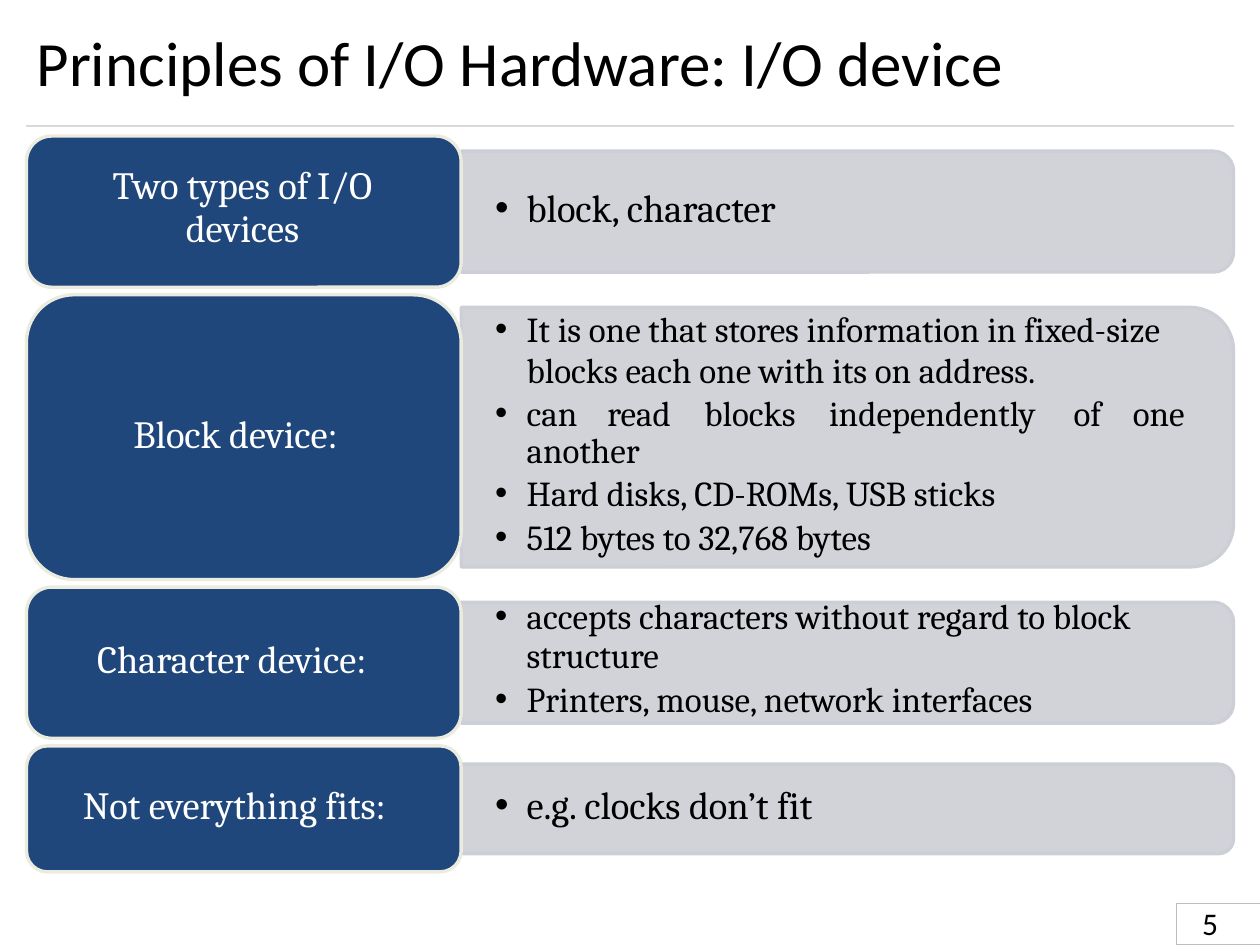
from lxml.etree import SubElement
from pptx import Presentation
from pptx.dml.color import RGBColor
from pptx.enum.shapes import MSO_CONNECTOR, MSO_SHAPE
from pptx.enum.text import MSO_ANCHOR, PP_ALIGN
from pptx.oxml.ns import qn
from pptx.util import Inches, Pt

TITLE = "Principles of I/O Hardware: I/O device"
PAGE_NUMBER = "5"

# Bullets: (text, space before in points, line spacing in points or None)
ROWS = [
    dict(label="Two types of I/O\vdevices", label_height=1.2, panel_height=0.96,
         label_inset=0.02, list_top=1.45, size=22,
         bullets=[("block, character", 0.9, None)]),
    dict(label="Block device:", label_height=2.26, panel_height=2.06,
         label_inset=0.13, list_top=2.44, size=20,
         bullets=[("It is one that stores information in fixed-size blocks "
                   "each one with its on address.", 1.1, 23.4),
                  ("can\tread\tblocks\tindependently\tof\tone\vanother", 3.6, 21),
                  ("Hard disks, CD-ROMs, USB sticks", 0.8, None),
                  ("512 bytes to 32,768 bytes", 1.1, None)]),
    dict(label="Character device:", label_height=1.2, panel_height=0.96,
         label_inset=0.19, list_top=4.73, size=20,
         bullets=[("accepts characters without regard to block structure", 1, 22.5),
                  ("Printers, mouse, network interfaces", 1, None)]),
    dict(label="Not everything fits:", label_height=1.0, panel_height=0.71,
         label_inset=0.15, list_top=6.19, size=22,
         bullets=[("e.g. clocks don’t fit", 0.9, None)]),
]
WORD_STOPS = [0.26, 0.9, 1.67, 2.66, 4.6, 5.07]

THEME = dict(
    heading_font="Calibri", body_font="Cambria",
    title_size=36, label_size=22, number_size=18,
    text="000000", label_text="FFFFFF", label_fill="1F477B", label_line="ECEBDF",
    panel="CCCFD5", rule="D9D9D9", number_line="BDBDBD",
    box_line=1.92, thin_line=0.72,
)

LEFT, TOP, ROW_GAP = 0.21, 1.08, 0.06
LABEL_WIDTH, PANEL_WIDTH = 3.45, 6.13
PANEL_LEFT = LEFT + LABEL_WIDTH
LIST_LEFT, LIST_WIDTH = 3.92, 5.55


def color(name):
    return RGBColor.from_string(THEME[name])


def style_paragraph(paragraph, font, size, text_color):
    for run in paragraph.runs:
        run.font.name = THEME[font]
        run.font.size = Pt(size)
        run.font.color.rgb = color(text_color)


def set_insets(frame, left=0, top=0, right=0, bottom=0):
    frame.margin_left, frame.margin_top = Inches(left), Inches(top)
    frame.margin_right, frame.margin_bottom = Inches(right), Inches(bottom)
    frame.word_wrap = True


def add_box(slide, kind, left, top, width, height, line, weight, fill=None):
    box = slide.shapes.add_shape(
        kind, Inches(left), Inches(top), Inches(width), Inches(height))
    box.shadow.inherit = False
    if fill:
        box.fill.solid()
        box.fill.fore_color.rgb = color(fill)
    else:
        box.fill.background()
    box.line.color.rgb = color(line)
    box.line.width = Pt(THEME[weight])
    return box


def add_panel(slide, center, height):
    """Panel rounded on its right side: a top-rounded shape turned a quarter."""
    panel = add_box(slide, MSO_SHAPE.ROUND_2_SAME_RECTANGLE,
                    PANEL_LEFT + (PANEL_WIDTH - height) / 2, center - PANEL_WIDTH / 2,
                    height, PANEL_WIDTH, "panel", "box_line", "panel")
    panel.rotation = 90
    fill_color = panel.fill._xPr.find(qn("a:solidFill"))[0]
    SubElement(fill_color, qn("a:alpha"), val="90000")


def add_label(slide, row, top):
    label = add_box(slide, MSO_SHAPE.ROUNDED_RECTANGLE, LEFT, top, LABEL_WIDTH,
                    row["label_height"], "label_line", "box_line", "label_fill")
    frame = label.text_frame
    set_insets(frame, right=row["label_inset"], bottom=0.07)
    frame.vertical_anchor = MSO_ANCHOR.MIDDLE
    paragraph = frame.paragraphs[0]
    paragraph.text = row["label"]
    paragraph.alignment = PP_ALIGN.CENTER
    if "\v" in row["label"]:
        paragraph.line_spacing = Pt(24.8)
    style_paragraph(paragraph, "body_font", THEME["label_size"], "label_text")


def make_bullet(paragraph, stops):
    properties = paragraph._p.get_or_add_pPr()
    properties.set("marL", str(Inches(0.26)))
    properties.set("indent", str(Inches(-0.25)))
    SubElement(properties, qn("a:buFont"), typeface="Arial")
    SubElement(properties, qn("a:buChar"), char="•")
    tab_list = SubElement(properties, qn("a:tabLst"))
    for stop in stops:
        SubElement(tab_list, qn("a:tab"), pos=str(Inches(stop)), algn="l")


def add_bullets(slide, row):
    frame = slide.shapes.add_textbox(
        Inches(LIST_LEFT), Inches(row["list_top"]), Inches(LIST_WIDTH),
        Inches(row["panel_height"])).text_frame
    set_insets(frame, top=0.01)
    for index, (text, before, spacing) in enumerate(row["bullets"]):
        paragraph = frame.add_paragraph() if index else frame.paragraphs[0]
        paragraph.text = text
        paragraph.space_before = Pt(before)
        if spacing:
            paragraph.line_spacing = Pt(spacing)
        make_bullet(paragraph, WORD_STOPS if "\t" in text else WORD_STOPS[:1])
        style_paragraph(paragraph, "body_font", row["size"], "text")


def add_title(slide):
    title = slide.shapes.title
    title.left, title.top = Inches(0.29), Inches(0.1)
    title.width, title.height = Inches(9.41), Inches(0.76)
    frame = title.text_frame
    frame.text = TITLE
    set_insets(frame, top=0.09)
    frame.vertical_anchor = MSO_ANCHOR.TOP
    frame.paragraphs[0].alignment = PP_ALIGN.LEFT
    style_paragraph(frame.paragraphs[0], "heading_font", THEME["title_size"], "text")


def add_rule(slide):
    rule = slide.shapes.add_connector(
        MSO_CONNECTOR.STRAIGHT, Inches(LEFT), Inches(1), Inches(9.79), Inches(1))
    rule.line.color.rgb = color("rule")
    rule.line.width = Pt(THEME["thin_line"])
    SubElement(rule._element.spPr, qn("a:effectLst"))


def add_page_number(slide):
    frame = add_box(slide, MSO_SHAPE.RECTANGLE, 9.34, 7.17, 0.67, 0.33,
                    "number_line", "thin_line").text_frame
    set_insets(frame, left=0.2, bottom=0.02)
    frame.vertical_anchor = MSO_ANCHOR.MIDDLE
    frame.text = PAGE_NUMBER
    frame.paragraphs[0].alignment = PP_ALIGN.LEFT
    style_paragraph(frame.paragraphs[0], "heading_font", THEME["number_size"], "text")


def main():
    deck = Presentation()
    deck.slide_width, deck.slide_height = Inches(10), Inches(7.5)
    slide = deck.slides.add_slide(deck.slide_layouts.get_by_name("Title Only"))
    add_title(slide)
    add_rule(slide)
    top = TOP
    for row in ROWS:
        add_panel(slide, top + row["label_height"] / 2, row["panel_height"])
        add_bullets(slide, row)
        add_label(slide, row, top)
        top += row["label_height"] + ROW_GAP
    add_page_number(slide)
    deck.save("out.pptx")


if __name__ == "__main__":
    main()
